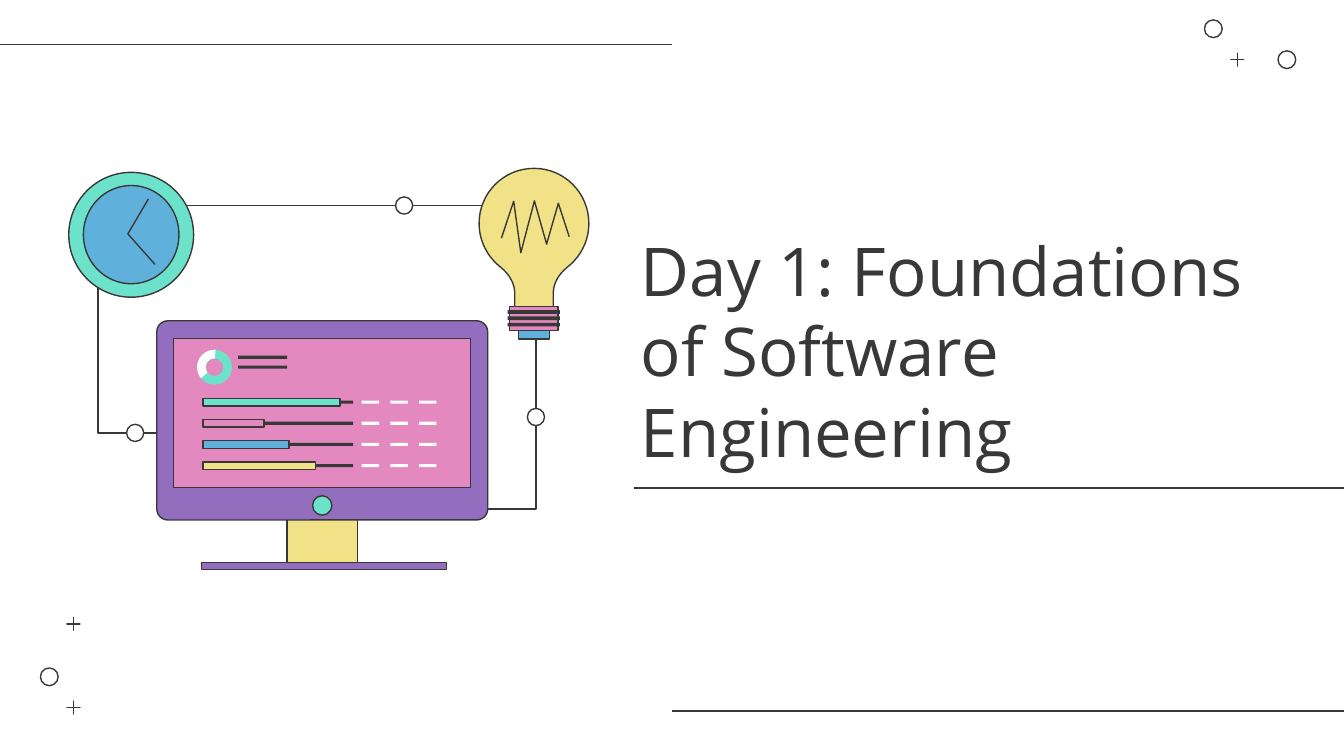
from dataclasses import dataclass
from typing import Optional

from lxml.etree import SubElement
from pptx import Presentation
from pptx.dml.color import RGBColor
from pptx.enum.shapes import MSO_CONNECTOR, MSO_SHAPE
from pptx.enum.text import MSO_ANCHOR, PP_ALIGN
from pptx.oxml.ns import qn
from pptx.util import Pt

INK, WHITE = "383838", "FFFFFF"
PURPLE, PINK, TEAL = "936EBE", "E489BF", "6CE2CB"
BLUE, YELLOW = "5FB0DA", "F1E287"
Point = tuple[float, float]


@dataclass(frozen=True)
class Figure:
    kind: MSO_SHAPE
    left: float
    top: float
    width: float
    height: float
    fill: Optional[str] = None
    outlined: bool = True
    adjustments: tuple[float, ...] = ()


@dataclass(frozen=True)
class ProgressRow:
    width: float
    fill: str


def colour(value: str) -> RGBColor:
    return RGBColor.from_string(value)


def set_values(target, values: dict) -> None:
    for name, value in values.items():
        setattr(target, name, value)


def style(shape, fill: Optional[str], outlined: bool = True) -> None:
    shape.shadow.inherit = False
    if fill:
        shape.fill.solid()
        shape.fill.fore_color.rgb = colour(fill)
    else:
        shape.fill.background()
    if outlined:
        shape.line.width = Pt(0.75)
        shape.line.color.rgb = colour(INK)
    else:
        shape.line.fill.background()


def draw_figure(slide, figure: Figure) -> None:
    shape = slide.shapes.add_shape(
        figure.kind, Pt(figure.left), Pt(figure.top), Pt(figure.width), Pt(figure.height)
    )
    for index, value in enumerate(figure.adjustments):
        shape.adjustments[index] = value
    style(shape, figure.fill, figure.outlined)


def draw_circle(slide, center: Point, diameter: float, fill: Optional[str] = None) -> None:
    left, top = (value - diameter / 2 for value in center)
    draw_figure(slide, Figure(MSO_SHAPE.OVAL, left, top, diameter, diameter, fill))


def draw_bar(slide, left: float, top: float, width: float, height: float,
             fill: str, outlined: bool = False) -> None:
    draw_figure(slide, Figure(MSO_SHAPE.RECTANGLE, left, top, width, height, fill, outlined))


def draw_line(slide, start: Point, end: Point) -> None:
    connector = slide.shapes.add_connector(
        MSO_CONNECTOR.STRAIGHT, *(Pt(value) for value in start + end)
    )
    connector.line.width = Pt(0.75)
    connector.line.color.rgb = colour(INK)
    SubElement(connector._element.spPr, qn("a:effectLst"))


def draw_path(slide, points: list[Point], fill: Optional[str] = None) -> None:
    vertices = [(Pt(x), Pt(y)) for x, y in points]
    builder = slide.shapes.build_freeform(*vertices[0])
    builder.add_line_segments(vertices[1:], close=fill is not None)
    style(builder.convert_to_shape(), fill)


def curve(start: Point, first: Point, second: Point, end: Point) -> list[Point]:
    steps = 16
    points = []
    for step in range(1, steps + 1):
        t = step / steps
        weights = ((1 - t) ** 3, 3 * t * (1 - t) ** 2, 3 * t * t * (1 - t), t**3)
        points.append(tuple(
            sum(weight * value for weight, value in zip(weights, values))
            for values in zip(start, first, second, end)
        ))
    return points


def draw_title(slide) -> None:
    shape = slide.shapes.add_textbox(Pt(336.24), Pt(59), Pt(374.4), Pt(196.6))
    set_values(shape.text_frame, {
        "word_wrap": True, "vertical_anchor": MSO_ANCHOR.BOTTOM,
        "margin_left": Pt(7.2), "margin_right": Pt(7.2),
        "margin_top": Pt(7.2), "margin_bottom": Pt(3.5),
    })
    paragraph = shape.text_frame.paragraphs[0]
    paragraph.text = "Day 1: Foundations of Software Engineering"
    set_values(paragraph, {"alignment": PP_ALIGN.LEFT, "line_spacing": Pt(43.1)})
    set_values(paragraph.font, {"name": "Open Sans", "size": Pt(36)})
    paragraph.font.color.rgb = colour(INK)


def draw_decorations(slide) -> None:
    for start, end in (((339.84, 261.36), (728, 261.36)),
                       ((0, 24), (360, 24)), ((360, 381), (720, 381))):
        draw_line(slide, start, end)
    for center in ((650, 15.4), (689.4, 32), (26.4, 362.6)):
        draw_circle(slide, center, 9.5)
    for left, top in ((658.1, 27.2), (34.6, 374.3), (34.6, 329.5)):
        draw_figure(slide, Figure(MSO_SHAPE.MATH_PLUS, left, top, 9.5, 9.5, adjustments=(0,)))


def draw_wires(slide) -> None:
    draw_line(slide, (100, 110.1), (272.2, 110.1))
    draw_path(slide, [(230.4, 272.7), (287.2, 272.7), (287.2, 159.1)])
    draw_path(slide, [(52.5, 151.9), (52.5, 231.9), (144, 231.9)])
    for center in ((72.4, 231.9), (216.5, 110.1), (287.1, 223.4)):
        draw_circle(slide, center, 9.2, WHITE)


def draw_monitor(slide) -> None:
    draw_bar(slide, 153.7, 272.2, 37.9, 29.2, YELLOW, True)
    draw_bar(slide, 108, 301.2, 131.2, 4, PURPLE, True)
    draw_figure(slide, Figure(MSO_SHAPE.ROUNDED_RECTANGLE, 84, 171.9, 177.3, 106.7,
                              PURPLE, adjustments=(0.055,)))
    draw_bar(slide, 92.9, 181.3, 159.2, 80, PINK, True)
    draw_circle(slide, (172.6, 270.8), 10.4, TEAL)
    ring = (105.6, 187.4, 18.7, 18.7)
    draw_figure(slide, Figure(MSO_SHAPE.DONUT, *ring, TEAL, False, (0.25,)))
    draw_figure(slide, Figure(MSO_SHAPE.BLOCK_ARC, *ring, WHITE, False, (84.95, 163.995, 0.245)))
    for top in (190.6, 195.9):
        draw_bar(slide, 127.5, top, 26.4, 1.7, INK)
    rows = (ProgressRow(73.6, TEAL), ProgressRow(32.8, PINK),
            ProgressRow(46.2, BLUE), ProgressRow(60.4, YELLOW))
    for index, row in enumerate(rows):
        top = 214.6 + 11.35 * index
        draw_bar(slide, 118, top, 71.2, 1.7, INK)
        for dash in range(3):
            draw_bar(slide, 193.8 + 15.4 * dash, top, 9.3, 1.7, WHITE)
        draw_bar(slide, 108.7, top - 1.2, row.width, 4.1, row.fill, True)


def draw_bulb(slide) -> None:
    axis = 286.1
    curves = (
        ((axis, 90.2), (302.4, 90.2), (315.5, 103.4), (315.5, 119.7)),
        ((315.5, 119.7), (315.5, 129), (311.1, 137.4), (304.4, 142.8)),
        ((304.4, 142.8), (302.3, 144.5), (300.2, 146.6), (298.8, 149)),
        ((298.8, 149), (297.2, 151.6), (296.4, 154.5), (296.4, 157.7)),
    )
    right = [(axis, 90.2)]
    for points in curves:
        right += curve(*points)
    right.append((296.4, 164.5))
    left = [(2 * axis - x, y) for x, y in reversed(right[1:])]
    draw_path(slide, right + left, YELLOW)
    draw_bar(slide, 277.8, 175.9, 16.6, 5.7, BLUE, True)
    draw_bar(slide, 272.9, 164.1, 26.2, 13, PINK, True)
    for stripe in range(3):
        draw_bar(slide, 271.9, 166.1 + 3.4 * stripe, 28.1, 2, INK)
    draw_path(slide, [(268.6, 127.6), (275.2, 107.8), (279, 135.4), (286.3, 107.6),
                      (292.8, 130.8), (299.1, 108.9), (304.9, 126.8)])


def draw_clock(slide) -> None:
    draw_circle(slide, (70.3, 125.8), 66.9, TEAL)
    draw_figure(slide, Figure(MSO_SHAPE.OVAL, 44.7, 99.4, 51.2, 52.6, BLUE))
    draw_path(slide, [(79.5, 106.6), (68.5, 125.3), (83, 141.6)])


def main() -> None:
    presentation = Presentation()
    set_values(presentation, {"slide_width": Pt(720), "slide_height": Pt(405)})
    slide = presentation.slides.add_slide(presentation.slide_layouts[6])
    for draw in (draw_title, draw_decorations, draw_wires, draw_monitor, draw_bulb, draw_clock):
        draw(slide)
    presentation.save("out.pptx")


if __name__ == "__main__":
    main()
